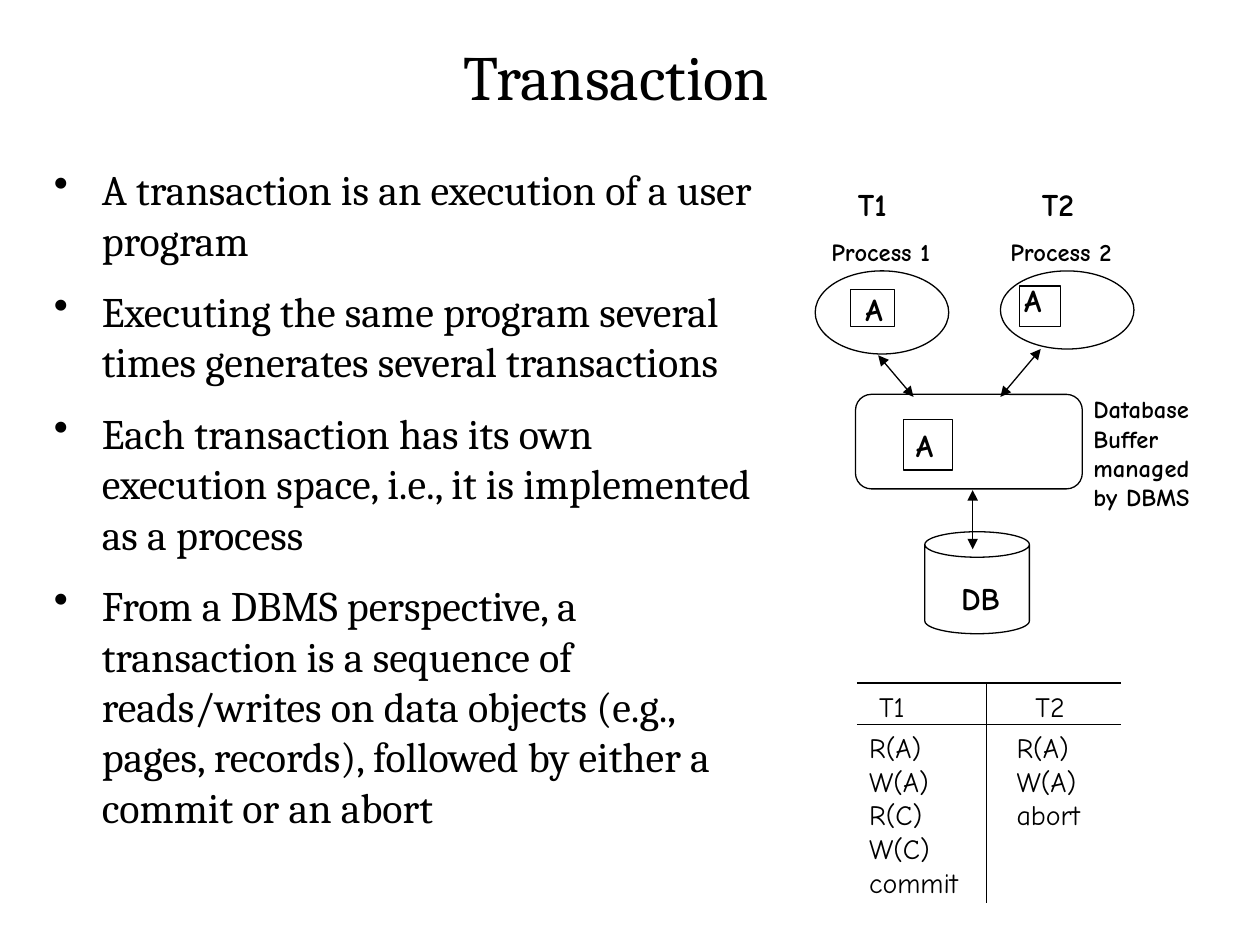
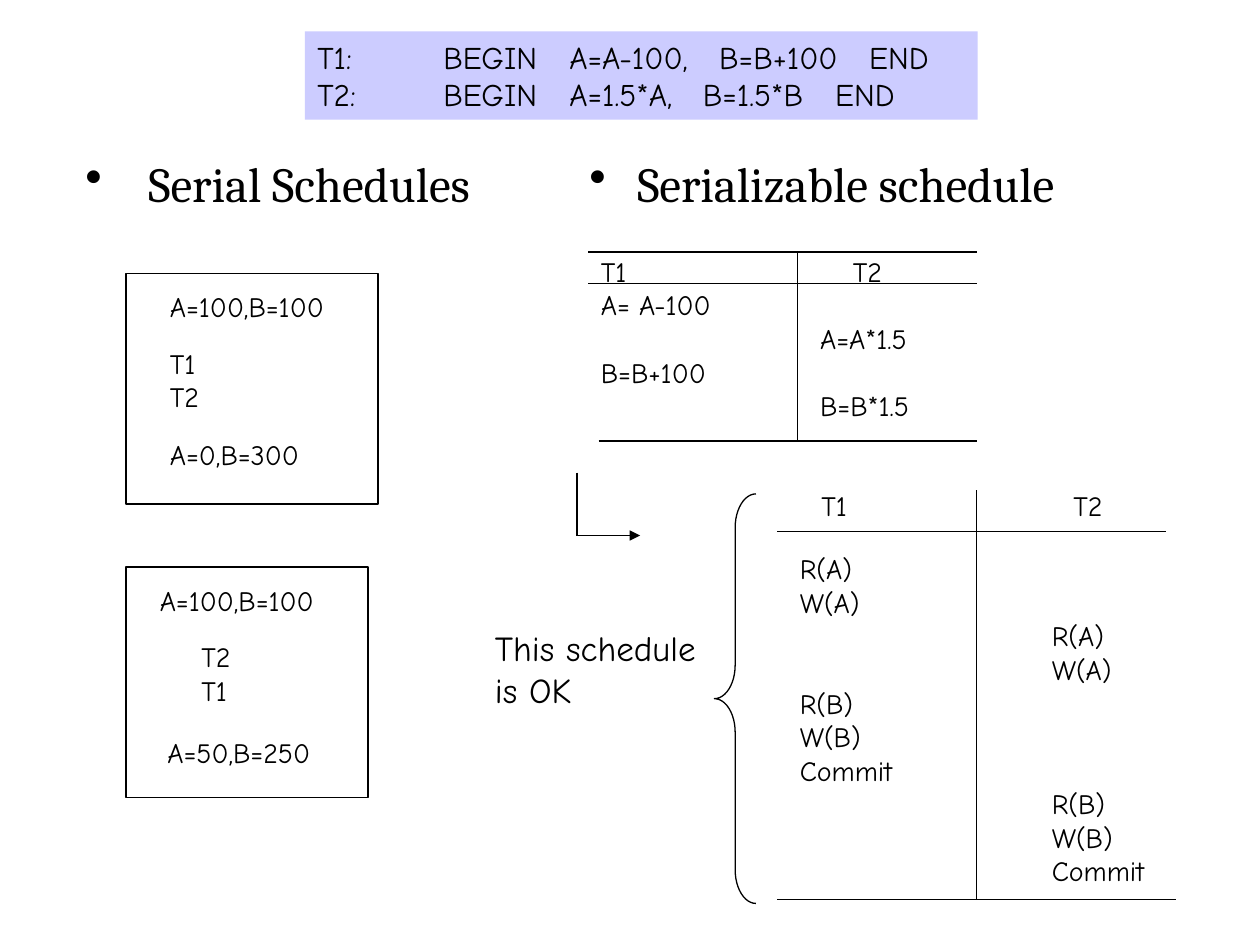
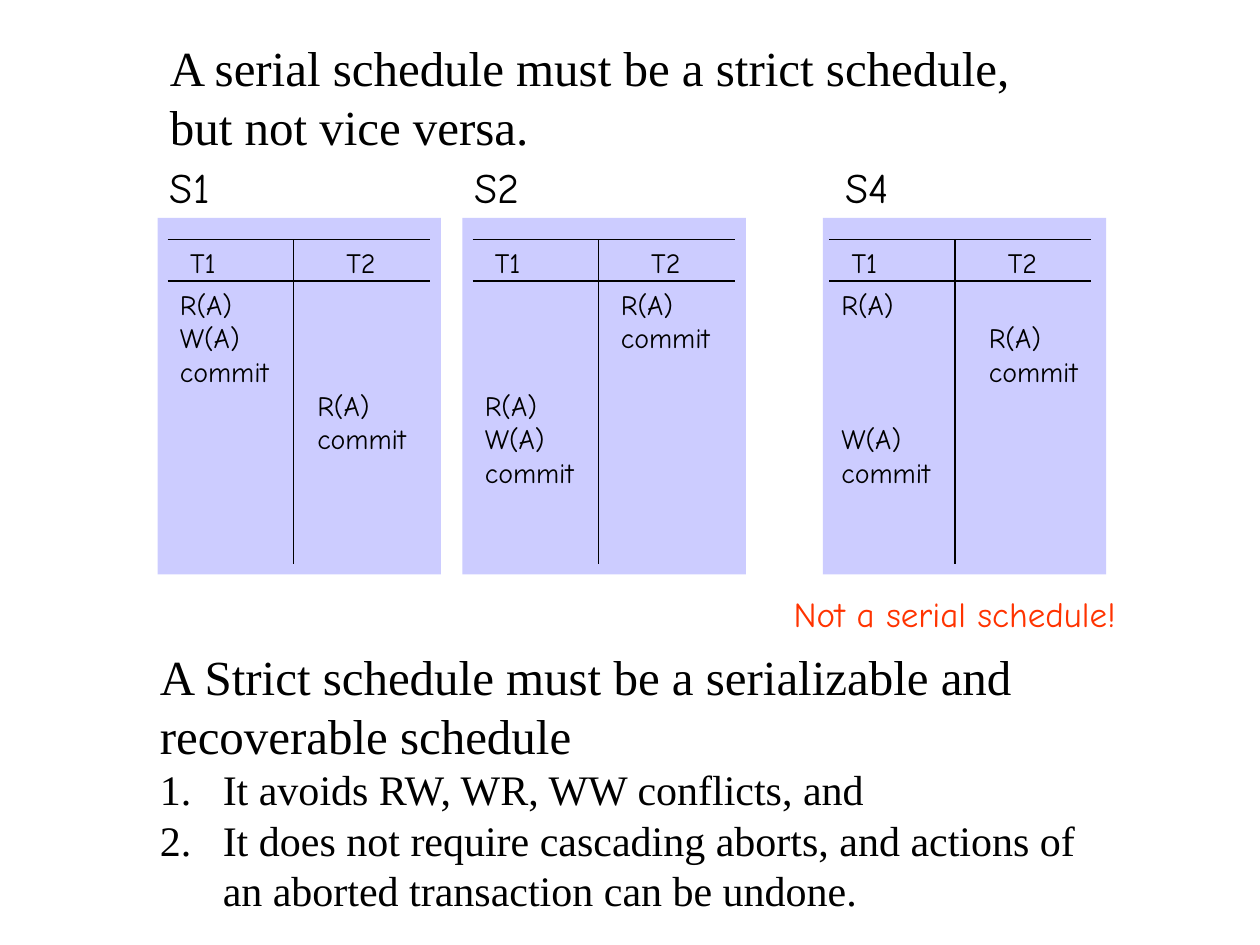
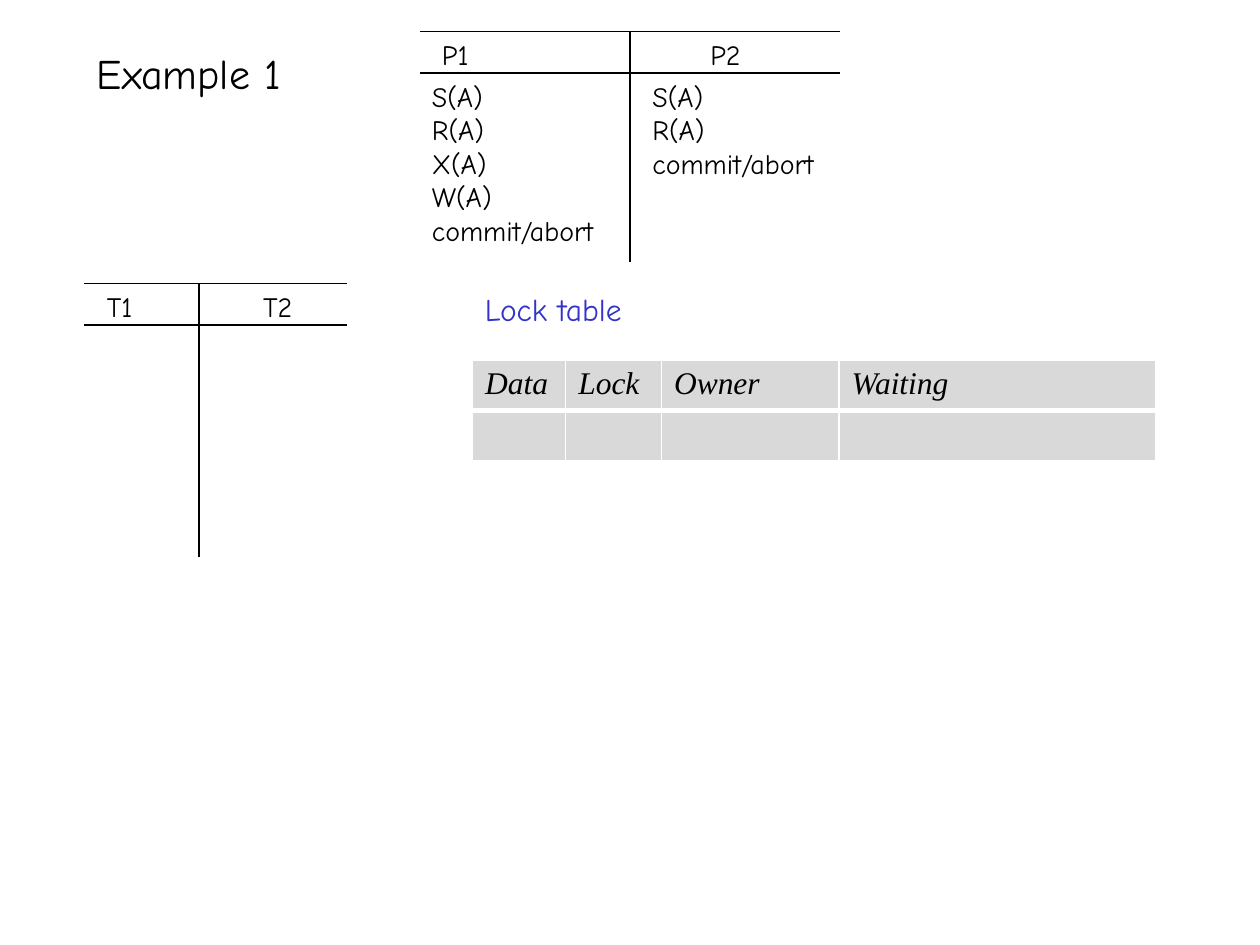
import pptx
import pptx.dml.color
import pptx.enum.shapes
import pptx.enum.text
import pptx.oxml
import pptx.oxml.ns
import pptx.util
from lxml import etree

Inches = pptx.util.Inches
SHAPES = pptx.enum.shapes.MSO_SHAPE
qn = pptx.oxml.ns.qn

BLACK, WHITE, LAVENDER, GREY = "000000", "FFFFFF", "CCCCFF", "D9D9D9"
RED, BLUE = "FF3300", "3333CC"
SERIF, HAND, ROMAN = "Cambria", "Comic Neue", "Times New Roman"
LINE_WIDTH = 0.75
ROW_HEIGHT = 0.267
HEADER_HEIGHT = 0.33

# Slide 1
TRANSACTION_POINTS = [
    "A transaction is an execution of a user program",
    "Executing the same program several times generates several transactions",
    "Each transaction has its own execution space, i.e., it is implemented as a process",
    "From a DBMS perspective, a transaction is a sequence of reads/writes on data objects "
    "(e.g., pages, records), followed by either a commit or an abort",
]
DIAGRAM_SHAPES = [
    (SHAPES.ROUNDED_RECTANGLE, (6.79, 3.13, 1.8, 0.75)),
    (SHAPES.OVAL, (6.47, 2.15, 1.06, 0.66)),
    (SHAPES.OVAL, (7.94, 2.15, 1.06, 0.62)),
    (SHAPES.RECTANGLE, (6.75, 2.3, 0.35, 0.29)),
    (SHAPES.RECTANGLE, (8.09, 2.27, 0.33, 0.32)),
    (SHAPES.CAN, (7.34, 4.22, 0.83, 0.81)),
]
DIAGRAM_LABELS = [
    ("Process 1", 14, (6.5, 1.83, 1.11, 0.34)),
    ("Process 2", 14, (7.92, 1.83, 1.11, 0.34)),
    ("A", 18, (6.77, 2.25, 0.39, 0.4)),
    ("A", 18, (8.03, 2.18, 0.39, 0.4)),
    ("DB", 18, (7.53, 4.55, 0.54, 0.4)),
    ("T1", 18, (6.71, 1.42, 0.53, 0.4)),
    ("T2", 18, (8.17, 1.42, 0.53, 0.4)),
]
DIAGRAM_ARROWS = [
    ((7.72, 3.89), (7.72, 4.36)),
    ((6.97, 2.82), (7.25, 3.15)),
    ((7.94, 3.15), (8.26, 2.77)),
]
# Each column of a schedule lists (first row, operations).
TRANSACTION_SCHEDULE = dict(
    left=6.8, right=8.9, divider=7.83, second=7.97, top=5.42, bottom=7.17,
    columns=([(0, ["R(A)", "W(A)", "R(C)", "W(C)", "commit"])],
             [(0, ["R(A)", "W(A)", "abort"])]))

# Slide 2
PROGRAMS = [
    ("T1:\tBEGIN\tA=A-100,\tB=B+100\tEND", (1, 2, 3.19, 4.38)),
    ("T2:\tBEGIN\tA=1.5*A,\tB=1.5*B\tEND", (1, 2, 3.06, 4.11)),
]
SERIAL_FRAMES = [(1, 2.17, 2, 1.83), (1, 4.5, 1.92, 1.83)]
SERIAL_LABELS = [
    (["A=100,B=100"], (1.25, 2.25, 1.53, 0.37)),
    (["T1", "T2"], (1.25, 2.7, 0.49, 0.64)),
    (["A=0,B=300"], (1.25, 3.42, 1.33, 0.37)),
    (["A=100,B=100"], (1.17, 4.58, 1.53, 0.37)),
    (["T2", "T1"], (1.5, 5.03, 0.49, 0.63)),
    (["A=50,B=250"], (1.23, 5.79, 1.47, 0.37)),
]
# Tabbed text of the two interleaved schedules: lines, tab stop, box
INTERLEAVED = [
    (["T1\tT2"], 2, (4.67, 1.97, 2.71, 0.37)),
    (["A= A-100", "\tA=A*1.5", "B=B+100", "\tB=B*1.5"], 1.74,
     (4.67, 1.97 + ROW_HEIGHT, 2.71, 1.17)),
    (["T1\tT2"], 2, (6.42, 3.83, 2.6, 0.37)),
    (["R(A)", "W(A)", "\tR(A)", "\tW(A)", "R(B)", "W(B)", "Commit",
      "\tR(B)", "\tW(B)", "\tCommit"], 2, (6.25, 4.33, 3.1, 2.77)),
]
INTERLEAVED_RULES = [
    ((6.33, 2), (6.33, 3.5)),
    ((4.67, 2.25), (7.75, 2.25)),
    ((4.67, 2), (7.75, 2)),
    ((4.75, 3.5), (7.75, 3.5)),
    ((6.17, 7.14), (9.33, 7.14)),
    ((6.17, 4.22), (9.25, 4.22)),
    ((7.75, 3.89), (7.75, 7.14)),
    ((4.58, 3.75), (4.58, 4.25)),
]

# Slide 3: name, name box, panel left, schedule positions, columns
STRICT_SCHEDULES = [
    ("S1", (1.25, 1.23, 0.59, 0.51), 1.25, 1.33, 2.42,
     ([(0, ["R(A)", "W(A)", "commit"])], [(3, ["R(A)", "commit"])])),
    ("S2", (3.67, 1.23, 0.64, 0.51), 3.67, 3.75, 4.83,
     ([(3, ["R(A)", "W(A)", "commit"])], [(0, ["R(A)", "commit"])])),
    ("S4", (6.61, 1.23, 0.65, 0.51), 6.53, 6.58, 7.75,
     ([(0, ["R(A)"]), (4, ["W(A)", "commit"])], [(1, ["R(A)", "commit"])])),
]
STRICT_RULES = [
    "It avoids RW, WR, WW conflicts, and",
    "It does not require cascading aborts, and actions of an aborted transaction can be undone.",
]

# Slide 4
LOCK_SCHEDULES = [
    dict(left=3.33, right=6.67, divider=5, second=5.08, top=0.25, bottom=2.08,
         header="P1\tP2", header_tab=2.13,
         columns=([(0, ["S(A)", "R(A)", "X(A)", "W(A)", "commit/abort"])],
                  [(0, ["S(A)", "R(A)", "commit/abort"])])),
    dict(left=0.67, right=2.75, divider=1.58, second=1.67, top=2.25, bottom=4.42,
         columns=([], [])),
]
LOCK_COLUMNS = [("Data", 0.74), ("Lock", 0.76), ("Owner", 1.41), ("Waiting", 2.51)]


def rgb(color):
    return pptx.dml.color.RGBColor.from_string(color)


def write(frame, lines, size, font=HAND, color=BLACK, bold=False, italic=False,
          bullet=None, indent=0.0, spacing=0, tabs=()):
    """Add one paragraph per line, starting in the first one while it is empty."""
    for line in lines:
        paragraph = frame.paragraphs[0]
        if paragraph.runs:
            paragraph = frame.add_paragraph()
        paragraph.alignment = pptx.enum.text.PP_ALIGN.LEFT
        if spacing:
            paragraph.space_before = paragraph.space_after = pptx.util.Pt(spacing)
        properties = paragraph._p.get_or_add_pPr()
        if bullet:
            properties.set("marL", str(Inches(indent)))
            properties.set("indent", str(-Inches(indent)))
            if bullet == "•":
                etree.SubElement(properties, qn("a:buChar"), char=bullet)
            else:
                etree.SubElement(properties, qn("a:buAutoNum"), type=bullet)
        if tabs:
            stops = etree.SubElement(properties, qn("a:tabLst"))
            for tab in tabs:
                etree.SubElement(stops, qn("a:tab"), pos=str(Inches(tab)), algn="l")
        run = paragraph.add_run()
        run.text = line
        run.font.size = pptx.util.Pt(size)
        run.font.name = font
        run.font.bold = bold
        run.font.italic = italic
        run.font.color.rgb = rgb(color)


def add_text(slide, box, lines, size, wrap=False, **style):
    frame = slide.shapes.add_textbox(*map(Inches, box)).text_frame
    frame.word_wrap = wrap
    frame.auto_size = pptx.enum.text.MSO_AUTO_SIZE.SHAPE_TO_FIT_TEXT
    write(frame, lines, size, **style)
    return frame


def add_shape(slide, kind, box, fill=None):
    """Add a filled shape without outline, or an outlined shape without fill."""
    shape = slide.shapes.add_shape(kind, *map(Inches, box))
    shape.shadow.inherit = False
    if fill:
        shape.fill.solid()
        shape.fill.fore_color.rgb = rgb(fill)
        shape.line.fill.background()
    else:
        shape.fill.background()
        shape.line.color.rgb = rgb(BLACK)
        shape.line.width = pptx.util.Pt(LINE_WIDTH)
    shape.text_frame.word_wrap = False
    shape.text_frame.vertical_anchor = pptx.enum.text.MSO_ANCHOR.TOP
    return shape


def add_line(slide, start, end, arrows=()):
    """Draw a straight line; arrows names its ends, headEnd before tailEnd."""
    connector = slide.shapes.add_connector(
        pptx.enum.shapes.MSO_CONNECTOR.STRAIGHT, *map(Inches, start + end))
    connector.line.color.rgb = rgb(BLACK)
    connector.line.width = pptx.util.Pt(LINE_WIDTH)
    properties = connector._element.spPr
    for arrow in arrows:
        etree.SubElement(properties.find(qn("a:ln")), qn("a:" + arrow), type="triangle")
    etree.SubElement(properties, qn("a:effectLst"))


def add_schedule(slide, left, right, divider, second, top, bottom, columns,
                 header="T1\tT2", header_tab=1.24):
    """Draw a two-column schedule; operations start at their row."""
    body_top = top + HEADER_HEIGHT
    add_text(slide, (left + 0.08, top, right - left, 0.37), [header], 16,
             wrap=True, tabs=(header_tab,))
    for y in (top, body_top):
        add_line(slide, (left, y), (right, y))
    add_line(slide, (divider, top), (divider, bottom))
    for column_left, blocks in zip((left, second), columns):
        for row, operations in blocks:
            box = (column_left, body_top + row * ROW_HEIGHT,
                   max(1, divider - left), 0.1 + len(operations) * ROW_HEIGHT)
            add_text(slide, box, operations, 16, wrap=True)


def set_borders(cell, top, bottom):
    """Give a cell white borders, 1 point at the sides."""
    properties = cell._tc.get_or_add_tcPr()
    widths = {"lnL": 1, "lnR": 1, "lnT": top, "lnB": bottom}
    for position, (side, width) in enumerate(widths.items()):
        border = etree.Element(qn("a:" + side), w=str(pptx.util.Pt(width)))
        fill = etree.SubElement(border, qn("a:solidFill"))
        etree.SubElement(fill, qn("a:srgbClr"), val=WHITE)
        properties.insert(position, border)


def add_lock_table(slide):
    width = sum(column_width for _, column_width in LOCK_COLUMNS)
    table = slide.shapes.add_table(
        2, len(LOCK_COLUMNS), *map(Inches, (3.75, 2.86, width, 0.8))).table
    table.first_row = table.horz_banding = False
    for column, (name, column_width) in enumerate(LOCK_COLUMNS):
        table.columns[column].width = Inches(column_width)
        for row, (top, bottom) in enumerate([(1, 3), (3, 1)]):
            cell = table.cell(row, column)
            cell.fill.solid()
            cell.fill.fore_color.rgb = rgb(GREY)
            set_borders(cell, top, bottom)
        write(table.cell(0, column).text_frame, [name], 18, font=ROMAN, italic=True)


def build_transaction(slide):
    add_text(slide, (3.58, 0.25, 2.76, 0.71), ["Transaction"], 36, font=SERIF)
    add_text(slide, (0.33, 1.25, 5.83, 5.45), TRANSACTION_POINTS, 24, wrap=True,
             font=SERIF, bullet="•", indent=0.38, spacing=6)
    for kind, box in DIAGRAM_SHAPES:
        add_shape(slide, kind, box)
    buffered = add_shape(slide, SHAPES.RECTANGLE, (7.17, 3.33, 0.39, 0.4))
    write(buffered.text_frame, ["A"], 18, bold=True)
    for label, size, box in DIAGRAM_LABELS:
        add_text(slide, box, [label], size, bold=True)
    add_text(slide, (8.58, 3.08, 1.17, 1.04), ["Database Buffer managed by DBMS"], 14,
             wrap=True, bold=True)
    for start, end in DIAGRAM_ARROWS:
        add_line(slide, start, end, ("headEnd", "tailEnd"))
    add_schedule(slide, **TRANSACTION_SCHEDULE)


def build_serializable(slide):
    banner = add_shape(slide, SHAPES.RECTANGLE, (2.42, 0.25, 5.34, 0.7), LAVENDER)
    banner.text_frame.word_wrap = True
    for program, tabs in PROGRAMS:
        write(banner.text_frame, [program], 18, tabs=tabs)
    add_text(slide, (0.58, 1.17, 3.43, 0.57), ["Serial Schedules"], 28,
             font=SERIF, bullet="•", indent=0.5)
    add_text(slide, (4.58, 1.17, 4.5, 0.58), ["Serializable schedule"], 28, wrap=True,
             font=SERIF, bullet="•", indent=0.38)
    for box in SERIAL_FRAMES:
        add_shape(slide, SHAPES.RECTANGLE, box)
    for lines, box in SERIAL_LABELS:
        add_text(slide, box, lines, 16)
    for lines, tab, box in INTERLEAVED:
        add_text(slide, box, lines, 16, wrap=True, tabs=(tab,))
    for start, end in INTERLEAVED_RULES:
        add_line(slide, start, end)
    add_line(slide, (4.58, 4.25), (5.08, 4.25), ("tailEnd",))
    add_text(slide, (3.83, 4.92, 1.83, 1.11), ["This schedule is OK"], 20, wrap=True)
    brace = add_shape(slide, SHAPES.LEFT_BRACE, (5.67, 3.92, 0.33, 3.25))
    brace.adjustments[0] = 0.81


def build_strict(slide):
    add_text(slide, (1.25, 0.25, 6.93, 1.04),
             ["A serial schedule must be a strict schedule,", "but not vice versa."],
             28, font=ROMAN)
    for name, name_box, panel_left, left, second, columns in STRICT_SCHEDULES:
        add_shape(slide, SHAPES.RECTANGLE, (panel_left, 1.73, 2.25, 2.83), LAVENDER)
        add_text(slide, name_box, [name], 24)
        add_schedule(slide, left, left + 2.08, left + 1, second, 1.9, 4.48, columns)
    add_text(slide, (6.2, 4.65, 3, 0.43), ["Not a serial schedule!"], 20, color=RED)
    summary = add_text(
        slide, (1.17, 5.08, 7.67, 2.26),
        ["A Strict schedule must be a serializable and recoverable schedule"],
        28, wrap=True, font=ROMAN)
    write(summary, STRICT_RULES, 24, font=ROMAN, bullet="arabicPeriod", indent=0.5)


def build_example(slide):
    add_text(slide, (0.67, 0.33, 1.75, 0.51), ["Example 1"], 24)
    for schedule in LOCK_SCHEDULES:
        add_schedule(slide, **schedule)
    add_lock_table(slide)
    add_text(slide, (3.75, 2.25, 1.42, 0.4), ["Lock table"], 18, color=BLUE)


def main():
    presentation = pptx.Presentation()
    presentation.slide_width = Inches(10)
    presentation.slide_height = Inches(7.5)
    for build in (build_transaction, build_serializable, build_strict, build_example):
        build(presentation.slides.add_slide(presentation.slide_layouts[6]))
    presentation.save("out.pptx")


if __name__ == "__main__":
    main()
